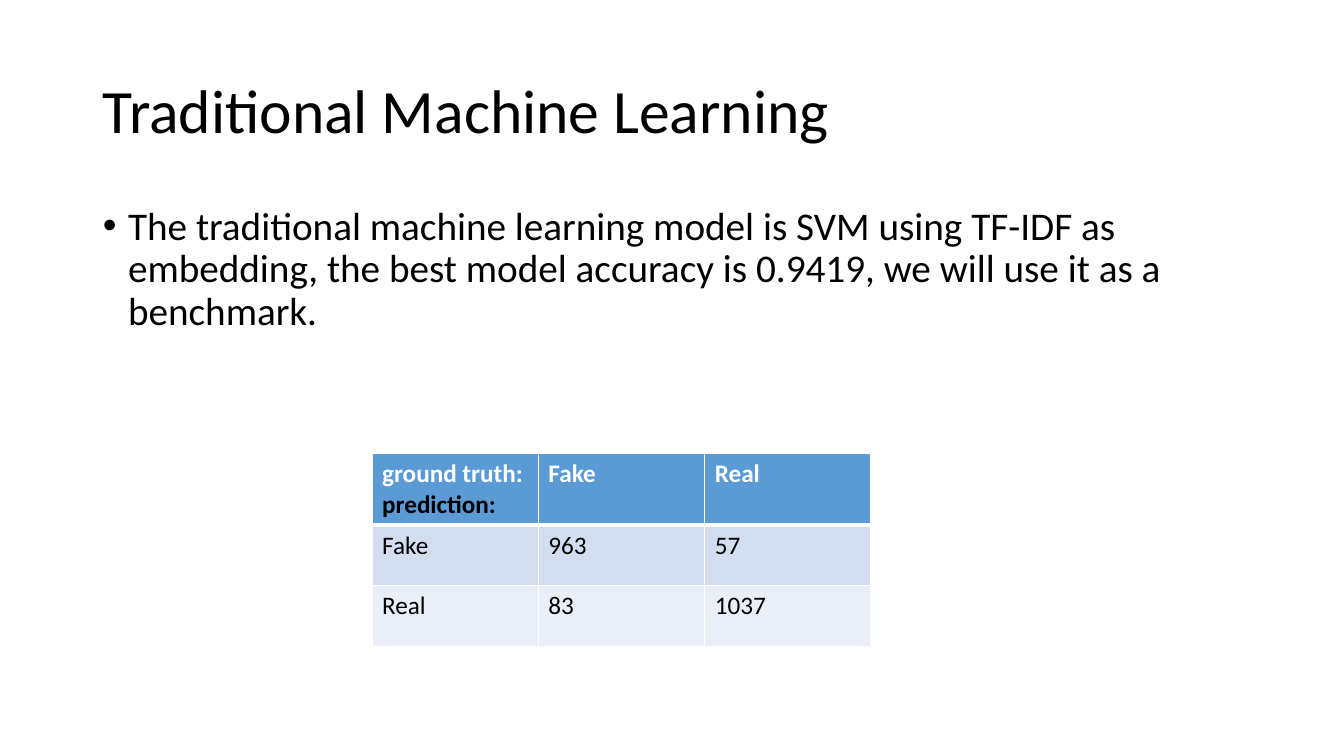
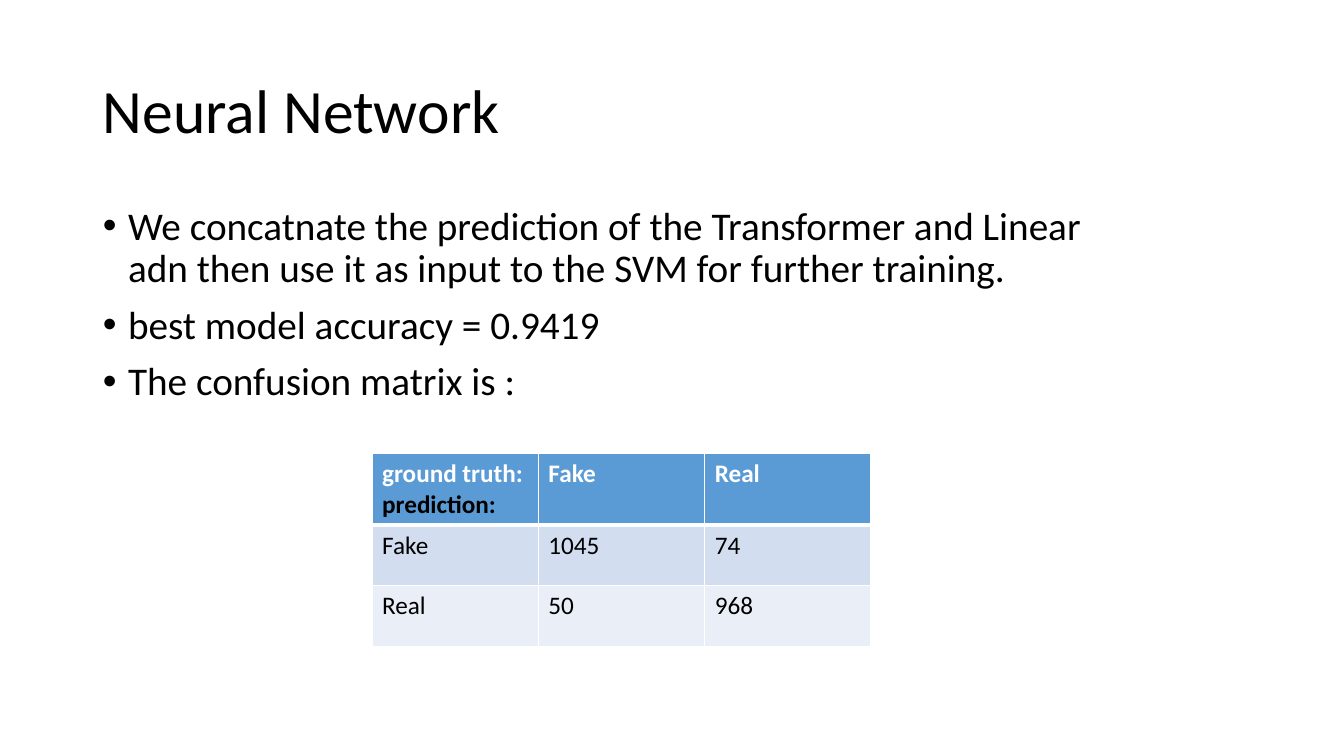
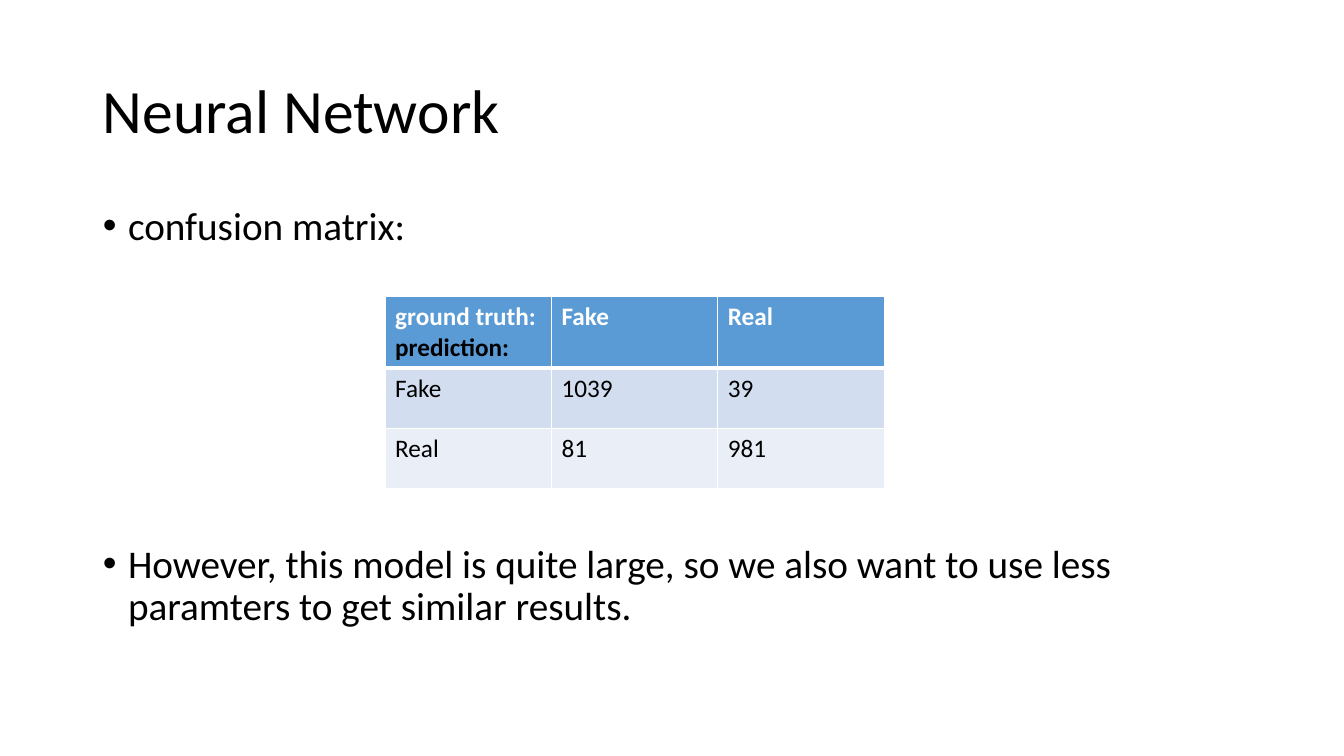
from dataclasses import dataclass

from pptx import Presentation
from pptx.dml.color import RGBColor as RGB
from pptx.enum.text import MSO_ANCHOR as Anchor, MSO_AUTO_SIZE as AutoSize, PP_ALIGN as Align
from pptx.oxml import parse_xml
from pptx.oxml.ns import nsdecls
from pptx.util import Inches, Pt


@dataclass(frozen=True)
class Theme:
    font: str = "Calibri"
    text: str = "000000"
    white: str = "FFFFFF"
    row_fills: tuple = ("5B9BD5", "D2DEEF", "EAEFF7")
    title_size: int = 44
    body_size: int = 28
    table_size: int = 18
    line_spacing: float = 0.9


T = Theme()
CELL = 1.65, 0.6  # column width, row height


def add_run(p, text, size, color=T.text, bold=False):
    r = p.add_run()
    r.text = text
    f = r.font
    f.name, f.size, f.bold = T.font, Pt(size), bold
    f.color.rgb = RGB.from_string(color)


def add_border(cell, side, width):
    cell._tc.get_or_add_tcPr().append(parse_xml(
        f'<a:{side} {nsdecls("a")} w="{Pt(width)}"><a:solidFill>'
        f'<a:srgbClr val="{T.white}"/></a:solidFill></a:{side}>'))


# Each slide: title, body width, bullets with space before, table corner, counts
slides = [
    ("Traditional Machine Learning", 11.5,
     [("The traditional machine learning model is SVM using TF-IDF as embedding, "
       "the best model accuracy is 0.9419, we will use it as a benchmark.", 10)],
     (3.69, 4.5), [(963, 57), (83, 1037)]),
    ("Neural Network", 10.5,
     [("We concatnate the prediction of the Transformer and Linear adn then use it "
       "as input to the SVM for further training.", 10),
      ("best model accuracy = 0.9419", 10),
      ("The confusion matrix is :", 10)],
     (3.69, 4.5), [(1045, 74), (50, 968)]),
    ("Neural Network", 11.5,
     [("confusion matrix:", 10),
      ("However, this model is quite large, so we also want to use less paramters "
       "to get similar results.", 211)],
     (3.82, 2.94), [(1039, 39), (81, 981)]),
]

prs = Presentation()
prs.slide_width, prs.slide_height = Inches(13.33), Inches(7.5)
layout = prs.slide_layouts[1]

for title, body_width, bullets, (left, top), counts in slides:
    s = prs.slides.add_slide(layout)

    # Title
    sp = s.shapes.title
    sp.left, sp.top, sp.width, sp.height = map(Inches, (0.92, 0.4, 11.5, 1.45))
    tf = sp.text_frame
    tf.auto_size, tf.vertical_anchor = AutoSize.NONE, Anchor.MIDDLE
    p = tf.paragraphs[0]
    p.alignment, p.line_spacing = Align.LEFT, T.line_spacing
    add_run(p, title, T.title_size)

    # Bullet list
    sp = s.placeholders[1]
    sp.left, sp.top, sp.width, sp.height = map(Inches, (0.92, 2, body_width, 4.76))
    tf = sp.text_frame
    tf.auto_size = AutoSize.NONE
    for i, (text, space) in enumerate(bullets):
        p = tf.add_paragraph() if i else tf.paragraphs[0]
        p.line_spacing, p.space_before = T.line_spacing, Pt(space)
        pPr = p._p.get_or_add_pPr()
        pPr.set("marL", str(Inches(0.25)))
        pPr.set("indent", str(-Inches(0.25)))
        add_run(p, text, T.body_size)

    # Confusion matrix
    rows = [("ground truth:", "Fake", "Real"), ("Fake", *counts[0]), ("Real", *counts[1])]
    width, height = CELL
    table = s.shapes.add_table(3, 3, *map(Inches, (left, top, 3 * width, 3 * height))).table
    for i, row in enumerate(rows):
        header = i == 0
        for j, value in enumerate(row):
            cell = table.cell(i, j)
            add_border(cell, "lnL", 1)
            add_border(cell, "lnR", 1)
            add_border(cell, "lnT", 3 if i == 1 else 1)
            add_border(cell, "lnB", 3 if header else 1)
            cell.fill.solid()
            cell.fill.fore_color.rgb = RGB.from_string(T.row_fills[i])
            add_run(cell.text_frame.paragraphs[0], str(value), T.table_size,
                    T.white if header else T.text, header)
    add_run(table.cell(0, 0).text_frame.add_paragraph(), "prediction:", T.table_size, bold=True)

prs.save("out.pptx")
